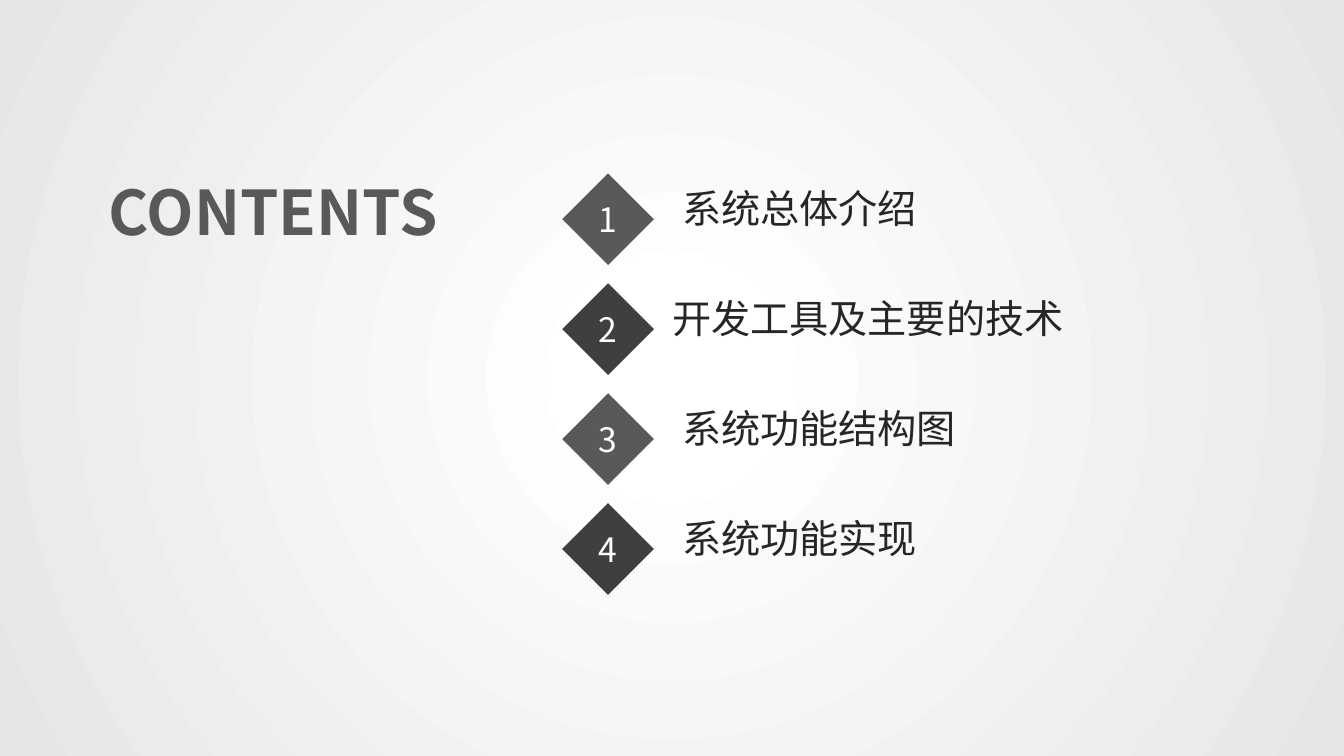
import pptx
import pptx.util
import pptx.dml.color
import pptx.enum.shapes
import pptx.enum.text
import pptx.oxml
import pptx.oxml.ns

Cm = pptx.util.Cm
ALIGN = pptx.enum.text.PP_ALIGN
FONT = "Noto Sans CJK SC"


def color(hex_string):
    return pptx.dml.color.RGBColor.from_string(hex_string)


def write(shape, text, size, hex_string, alignment, bold=False):
    paragraph = shape.text_frame.paragraphs[0]
    paragraph.text = text
    paragraph.alignment = alignment
    font = paragraph.runs[0].font
    font.size = pptx.util.Pt(size)
    font.bold = bold
    font.color.rgb = color(hex_string)
    font.name = FONT
    # East Asian characters take their typeface from a:ea
    east_asian = pptx.oxml.parse_xml(
        f'<a:ea {pptx.oxml.ns.nsdecls("a")} typeface="{FONT}"/>')
    paragraph.runs[0].font._element.append(east_asian)


presentation = pptx.Presentation()
presentation.slide_width = Cm(33.87)
presentation.slide_height = Cm(19.05)
slide = presentation.slides.add_slide(presentation.slide_layouts[6])

# Background: circular gradient from the centre
slide.background.fill.gradient()
linear = slide.element.find(".//" + pptx.oxml.ns.qn("a:gradFill"))
circular = pptx.oxml.parse_xml(
    f'<a:gradFill {pptx.oxml.ns.nsdecls("a")} rotWithShape="1"><a:gsLst>'
    '<a:gs pos="9000"><a:srgbClr val="FFFFFF"/></a:gs>'
    '<a:gs pos="100000"><a:srgbClr val="E6E6E8"/></a:gs></a:gsLst>'
    '<a:path path="circle">'
    '<a:fillToRect l="50000" t="50000" r="50000" b="50000"/></a:path>'
    '</a:gradFill>')
linear.getparent().replace(linear, circular)

# Numbered entries: text, left edge and width of its box
entries = [
    ("系统总体介绍", 16.94, 6.81),
    ("开发工具及主要的技术", 16.69, 11.05),
    ("系统功能结构图", 16.94, 8.1),
    ("系统功能实现", 16.94, 7.21),
]
FIRST_TOP, PITCH, DIAMOND = 4.37, 2.77, 2.31
for index, (text, left, width) in enumerate(entries):
    top = FIRST_TOP + index * PITCH
    group = slide.shapes.add_group_shape()
    diamond = group.shapes.add_shape(
        pptx.enum.shapes.MSO_SHAPE.DIAMOND,
        Cm(14.17), Cm(top), Cm(DIAMOND), Cm(DIAMOND))
    diamond.shadow.inherit = False
    diamond.fill.solid()
    diamond.fill.fore_color.rgb = color(("595959", "3F3F3F")[index % 2])
    diamond.line.fill.background()
    diamond.text_frame.vertical_anchor = pptx.enum.text.MSO_ANCHOR.MIDDLE
    write(diamond, str(index + 1), 24, "FFFFFF", ALIGN.CENTER)

    label = group.shapes.add_textbox(Cm(left), Cm(top + 0.15), Cm(width), Cm(1.45))
    label.text_frame.word_wrap = True
    label.text_frame.auto_size = pptx.enum.text.MSO_AUTO_SIZE.SHAPE_TO_FIT_TEXT
    write(label, text, 28, "262626", ALIGN.JUSTIFY)

# Heading
heading = slide.shapes.add_textbox(Cm(2.49), Cm(4.27), Cm(9.32), Cm(2.13))
heading.text_frame.word_wrap = True
heading.text_frame.auto_size = pptx.enum.text.MSO_AUTO_SIZE.SHAPE_TO_FIT_TEXT
write(heading, "CONTENTS", 44, "595959", ALIGN.LEFT, bold=True)

presentation.save("out.pptx")
